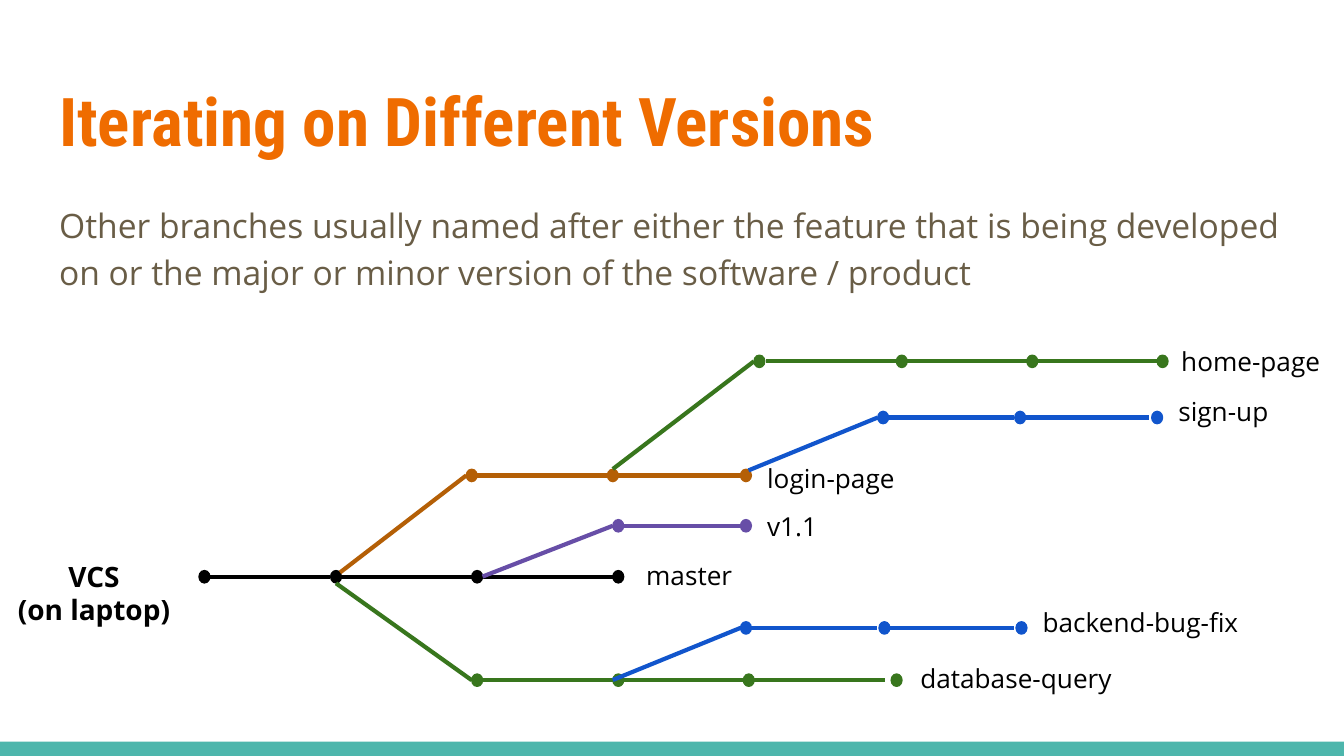
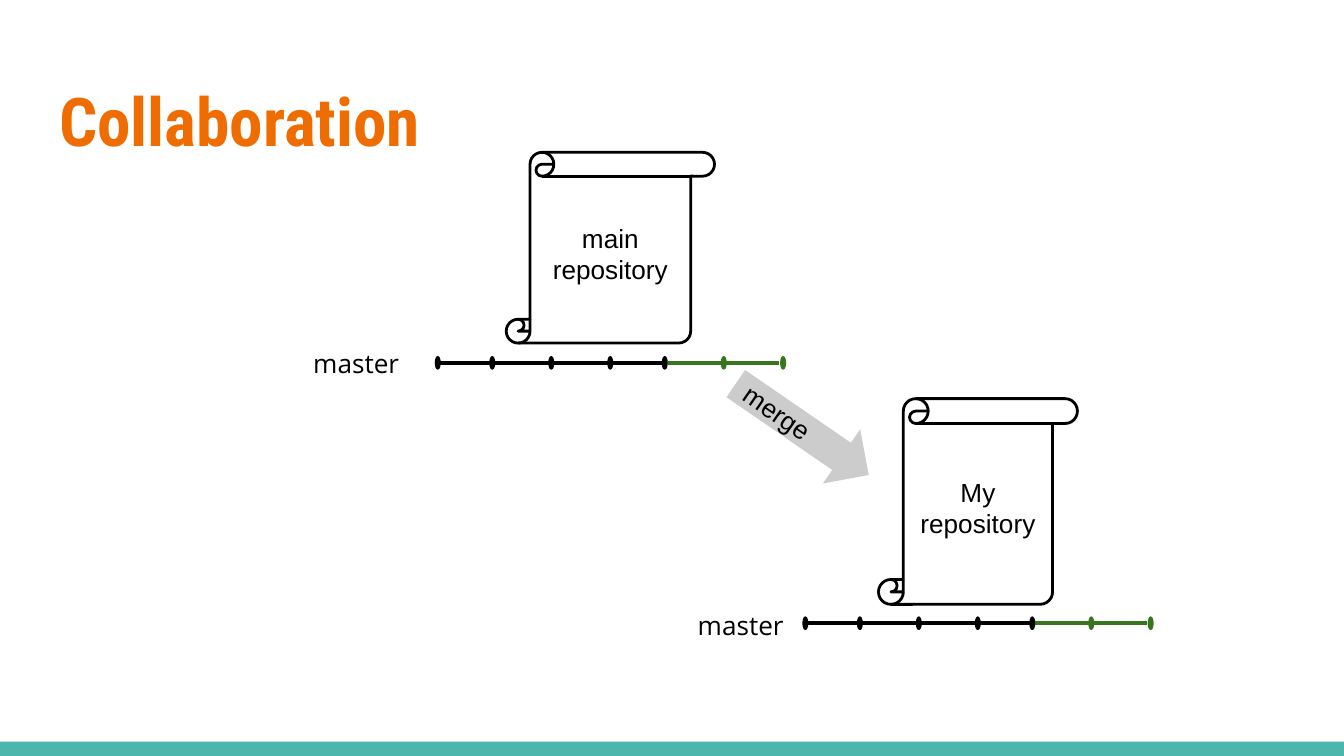
from dataclasses import dataclass

from lxml.etree import SubElement
from pptx import Presentation
from pptx.dml.color import RGBColor
from pptx.enum.shapes import MSO_CONNECTOR as Connector, MSO_SHAPE as Shape
from pptx.enum.text import MSO_ANCHOR as Anchor, MSO_AUTO_SIZE as AutoSize, PP_ALIGN as Align
from pptx.oxml.ns import qn
from pptx.util import Pt

# Shared look
WIDTH, HEIGHT = 720, 405
BLACK, GREEN, ORANGE = "000000", "38761D", "B45F06"
BLUE, PURPLE, TEAL, GREY = "1155CC", "674EA7", "4DB6AC", "CCCCCC"
INSET = 7.2
DOT_HEIGHT = 6.6

TITLE = {"name": "Roboto Condensed", "size": Pt(36), "bold": True, "color": "EF6C00"}
BODY = {"name": "Open Sans", "size": Pt(18), "color": "695D46"}
LABEL = {"name": "Open Sans", "size": Pt(14), "color": BLACK}
LAPTOP = {"name": "Open Sans", "size": Pt(15), "bold": True, "color": BLACK}
SHAPE_TEXT = {"name": "Arial", "size": Pt(14), "color": BLACK}

LEFT = {"alignment": Align.LEFT}
CENTER = {"alignment": Align.CENTER}
BODY_PARAGRAPH = {"alignment": Align.LEFT, "line_spacing": 1.15,
                  "space_before": Pt(0), "space_after": Pt(16)}


@dataclass
class Branch:
    color: str
    y: float
    dots: list
    segments: list
    label: str
    label_box: tuple
    fork: tuple = None


# Left edges of the commits and of the lines between them
BRANCHES = [
    Branch(BLACK, 309, [106.6, 177.1, 252.7, 328.3], [106.6, 182.9, 258.5],
           "master", (339.1, 292.3, 100.8)),
    Branch(GREEN, 364.4, [252.7, 328.3, 398.2, 477.4], [258.5, 331.2, 403.9],
           "database-query", (486, 347.8, 126.7), (180, 312.5)),
    Branch(ORANGE, 254.7, [249.8, 325.4, 396.7], [255.6, 329.8],
           "login-page", (403.9, 240.5, 100.8), (182.2, 306.7)),
    Branch(BLUE, 336.4, [396.7, 470.9, 544.3], [399.6, 473],
           "backend-bug-fix", (551.5, 317.5, 126.7), (328.3, 364.3)),
    Branch(PURPLE, 281.7, [328.3, 396.7], [329.8],
           "v1.1", (403.9, 266.4, 100.8), (258.5, 308.9)),
    Branch(BLUE, 223.7, [470.2, 543.6, 617], [473, 545.8],
           "sign-up", (624.2, 204.5, 95.8), (401, 252)),
    Branch(GREEN, 193.6, [403.9, 480.2, 550.1, 619.9], [410.4, 483.1, 555.8],
           "home-page", (625.7, 177.8, 94.3), (328.3, 251.3)),
]


def rgb(color):
    return RGBColor.from_string(color)


def write_text(shape, lines, font_format, paragraph_format, anchor=Anchor.TOP):
    """Fill a text frame with one paragraph for each line."""
    frame = shape.text_frame
    frame_format = {"word_wrap": True, "auto_size": AutoSize.NONE, "vertical_anchor": anchor}
    frame_format.update({f"margin_{side}": Pt(INSET) for side in ("left", "top", "right", "bottom")})
    for name, value in frame_format.items():
        setattr(frame, name, value)
    frame.text = "\n".join(lines)
    for paragraph in frame.paragraphs:
        for name, value in paragraph_format.items():
            setattr(paragraph, name, value)
        font = paragraph.runs[0].font
        for name, value in font_format.items():
            if name == "color":
                font.color.rgb = rgb(value)
            else:
                setattr(font, name, value)


def place(shape, left, top, width, height):
    box = {"left": left, "top": top, "width": width, "height": height}
    for name, value in box.items():
        setattr(shape, name, Pt(value))


def add_slide(presentation, layout_index, title):
    slide = presentation.slides.add_slide(presentation.slide_layouts[layout_index])
    place(slide.shapes.title, 24.5, 35.4, 671, 55.1)
    write_text(slide.shapes.title, [title], TITLE, LEFT)
    return slide


def add_body(slide, text):
    body = slide.placeholders[1]
    place(body, 24.5, 99.5, 671, 57.5)
    write_text(body, [text], BODY, BODY_PARAGRAPH)
    for paragraph in body.text_frame.paragraphs:
        properties = paragraph._p.get_or_add_pPr()
        properties.set("marL", "0")
        properties.set("indent", "0")
        SubElement(properties, qn("a:buNone"))


def add_label(slide, lines, left, top, width, height=19.4, font=LABEL, paragraph_format=LEFT):
    box = slide.shapes.add_textbox(Pt(left), Pt(top), Pt(width), Pt(height))
    write_text(box, lines, font, paragraph_format)


def add_shape(slide, kind, left, top, width, height, fill=None, line=None, weight=0.75):
    shape = slide.shapes.add_shape(kind, Pt(left), Pt(top), Pt(width), Pt(height))
    shape.shadow.inherit = False
    if fill:
        shape.fill.solid()
        shape.fill.fore_color.rgb = rgb(fill)
    else:
        shape.fill.background()
    if line:
        shape.line.color.rgb = rgb(line)
        shape.line.width = Pt(weight)
    else:
        shape.line.fill.background()
    return shape


def add_line(slide, color, start, end):
    line = slide.shapes.add_connector(Connector.STRAIGHT, *map(Pt, (*start, *end)))
    line.line.color.rgb = rgb(color)
    line.line.width = Pt(2.25)
    SubElement(line.element.spPr, qn("a:effectLst"))


def add_track(slide, color, y, dots, segments, length=70, dot_width=5.8):
    """Draw a row of commits and the lines that join them."""
    for left in segments:
        add_line(slide, color, (left, y), (left + length, y))
    for left in dots:
        add_shape(slide, Shape.OVAL, left, y - DOT_HEIGHT / 2, dot_width, DOT_HEIGHT, color, color)


def add_branch(slide, branch):
    if branch.fork:
        add_line(slide, branch.color, branch.fork, (branch.dots[0], branch.y))
    add_track(slide, branch.color, branch.y, branch.dots, branch.segments)
    add_label(slide, [branch.label], *branch.label_box)


def add_history(slide, left, y):
    """Draw the master history: old commits, then the new ones."""
    parts = [(BLACK, [0, 29.2, 60.8, 92.4, 121.6], [0, 31.7, 63.4, 92.4]),
             (GREEN, [153.2, 185], [124.5, 155])]
    for color, dots, segments in parts:
        add_track(slide, color, y, [left + offset for offset in dots],
                  [left + offset for offset in segments], 29.2, 2.5)


def add_repository(slide, name, left, top, width, height):
    scroll = add_shape(slide, Shape.VERTICAL_SCROLL, left, top, width, height,
                       line=BLACK, weight=1.5)
    write_text(scroll, [name], SHAPE_TEXT, CENTER, Anchor.MIDDLE)


def add_master_band(presentation, slide):
    """Draw the bottom band and move it behind everything on the slide master."""
    band = add_shape(slide, Shape.RECTANGLE, 0, 397.4, WIDTH, HEIGHT - 397.4, TEAL)
    band.element.nvSpPr.cNvPr.set("id", "20")
    presentation.slide_master.shapes.element.insert(2, band.element)


def build_versions(presentation):
    slide = add_slide(presentation, 1, "Iterating on Different Versions")
    add_master_band(presentation, slide)
    add_body(slide, "Other branches usually named after either the feature that is being "
                    "developed on or the major or minor version of the software / product")
    add_label(slide, ["VCS", "(on laptop)"], 0, 292.3, 100.8, 55.4, LAPTOP, CENTER)
    for branch in BRANCHES:
        add_branch(slide, branch)


def build_collaboration(presentation):
    slide = add_slide(presentation, 5, "Collaboration")
    add_repository(slide, "main repository", 271.2, 81.6, 111.6, 102.2)
    add_repository(slide, "My repository", 470.6, 213.6, 106.6, 110.2)
    add_history(slide, 233.3, 194.4)
    add_history(slide, 430.2, 333.9)

    # Merge arrow
    arrow = add_shape(slide, Shape.RIGHT_ARROW, 386.6, 212.4, 86.4, 35.3, GREY)
    arrow.rotation = 34.5
    write_text(arrow, ["merge"], SHAPE_TEXT, LEFT, Anchor.MIDDLE)

    for left, top in ((160.7, 179), (366.7, 319.2)):
        add_label(slide, ["master"], left, top, 63.4)


def main():
    presentation = Presentation()
    presentation.slide_width, presentation.slide_height = Pt(WIDTH), Pt(HEIGHT)
    build_versions(presentation)
    build_collaboration(presentation)
    presentation.save("out.pptx")


if __name__ == "__main__":
    main()
